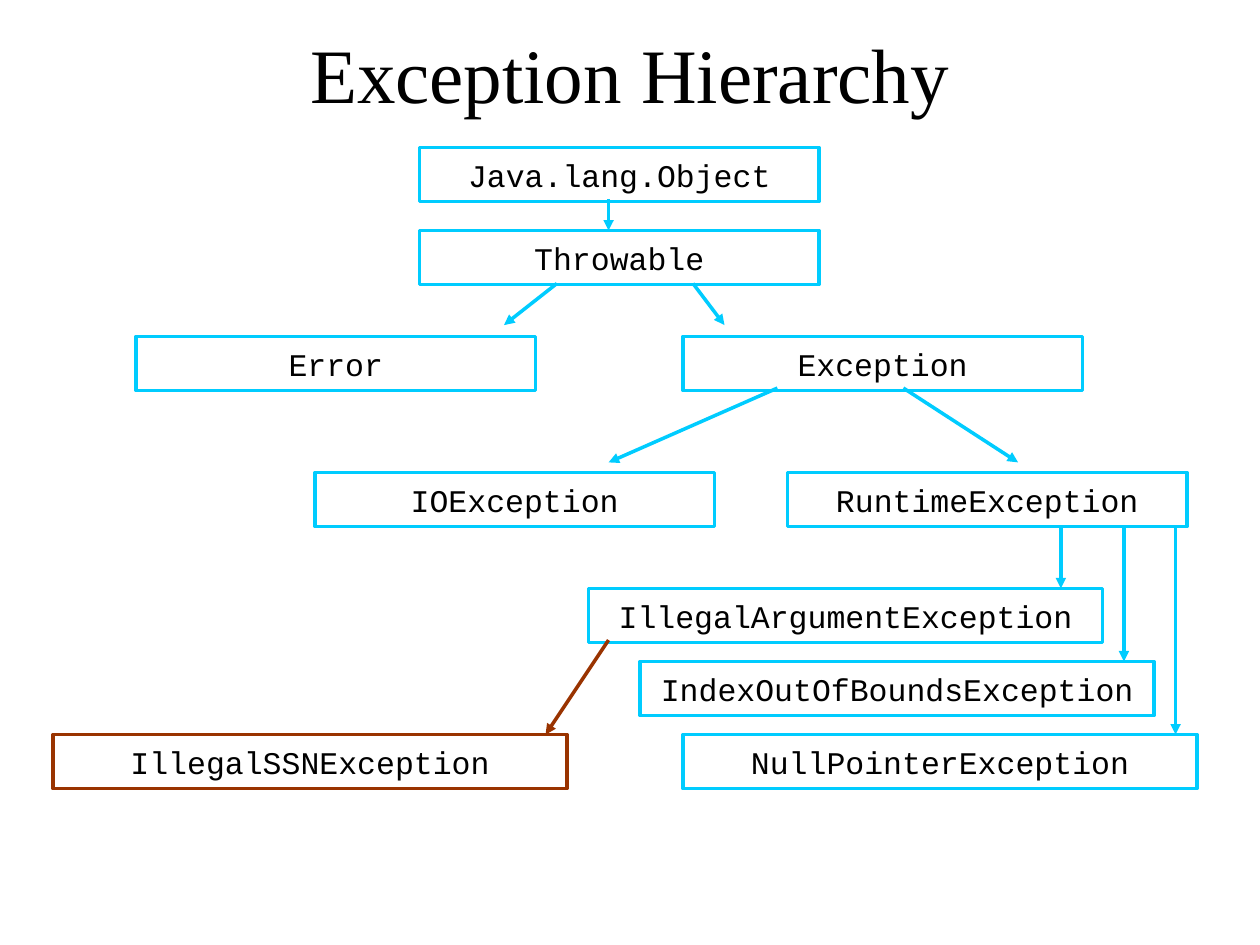
from pptx import Presentation
from pptx.dml.color import RGBColor
from pptx.enum import shapes, text
from pptx.oxml.ns import qn
from pptx.util import Inches, Pt
from lxml import etree

CYAN, BROWN, BLACK = "00CCFF", "993300", "000000"


def paint(target, color):
    """Give a fill, or the fill of a line, one solid colour."""
    target.solid()
    target.fore_color.rgb = RGBColor.from_string(color)


def style(par, font, size):
    par.alignment = text.PP_ALIGN.CENTER
    par.font.name = font
    par.font.size = Pt(size)
    paint(par.font.fill, BLACK)


deck = Presentation()
deck.slide_width, deck.slide_height = Inches(10), Inches(7.5)
slide = deck.slides.add_slide(deck.slide_layouts[5])
paint(slide.background.fill, "FFFFFF")

title = slide.shapes.title
title.left, title.top = Inches(0.75), Inches(0.33)
title.width, title.height = Inches(8.5), Inches(0.5)
title.text_frame.text = "Exception Hierarchy"
title.text_frame.vertical_anchor = text.MSO_ANCHOR.MIDDLE
style(title.text_frame.paragraphs[0], "Times New Roman", 44)

# Class name, left, top, width, colour
NARROW, WIDE, HIGH = 3.17, 4.08, 0.43
boxes = [
    ("Java.lang.Object", 3.33, 1.17, NARROW, CYAN),
    ("Throwable", 3.33, 1.83, NARROW, CYAN),
    ("Error", 1.08, 2.67, NARROW, CYAN),
    ("Exception", 5.42, 2.67, NARROW, CYAN),
    ("IOException", 2.5, 3.75, NARROW, CYAN),
    ("RuntimeException", 6.25, 3.75, NARROW, CYAN),
    ("IllegalArgumentException", 4.67, 4.67, WIDE, CYAN),
    ("IndexOutOfBoundsException", 5.08, 5.25, WIDE, CYAN),
    ("NullPointerException", 5.42, 5.83, WIDE, CYAN),
    ("IllegalSSNException", 0.42, 5.83, WIDE, BROWN),
]
for name, left, top, width, color in boxes:
    box = slide.shapes.add_shape(
        shapes.MSO_SHAPE.RECTANGLE,
        Inches(left), Inches(top), Inches(width), Inches(HIGH))
    box.shadow.inherit = False
    box.fill.background()
    paint(box.line.fill, color)
    box.line.width = Pt(2)
    frame = box.text_frame
    frame.word_wrap = True
    frame.vertical_anchor = text.MSO_ANCHOR.MIDDLE
    frame.text = name
    style(frame.paragraphs[0], "Courier New", 18)

# Start x, y, end x, y, colour
arrows = [
    (4.83, 1.58, 4.83, 1.83, CYAN),
    (4.42, 2.25, 4, 2.58, CYAN),
    (5.5, 2.25, 5.75, 2.58, CYAN),
    (6.17, 3.08, 4.83, 3.67, CYAN),
    (7.17, 3.08, 8.08, 3.67, CYAN),
    (8.42, 4.17, 8.42, 4.67, CYAN),
    (8.92, 4.17, 8.92, 5.25, CYAN),
    (9.33, 4.17, 9.33, 5.83, CYAN),
    (4.83, 5.08, 4.33, 5.83, BROWN),
]
for *ends, color in arrows:
    arrow = slide.shapes.add_connector(
        shapes.MSO_CONNECTOR.STRAIGHT, *[Inches(n) for n in ends])
    paint(arrow.line.fill, color)
    arrow.line.width = Pt(2)
    props = arrow.line._get_or_add_ln().getparent()
    etree.SubElement(props.find(qn("a:ln")), qn("a:tailEnd"), type="triangle")
    etree.SubElement(props, qn("a:effectLst"))

deck.save("out.pptx")
